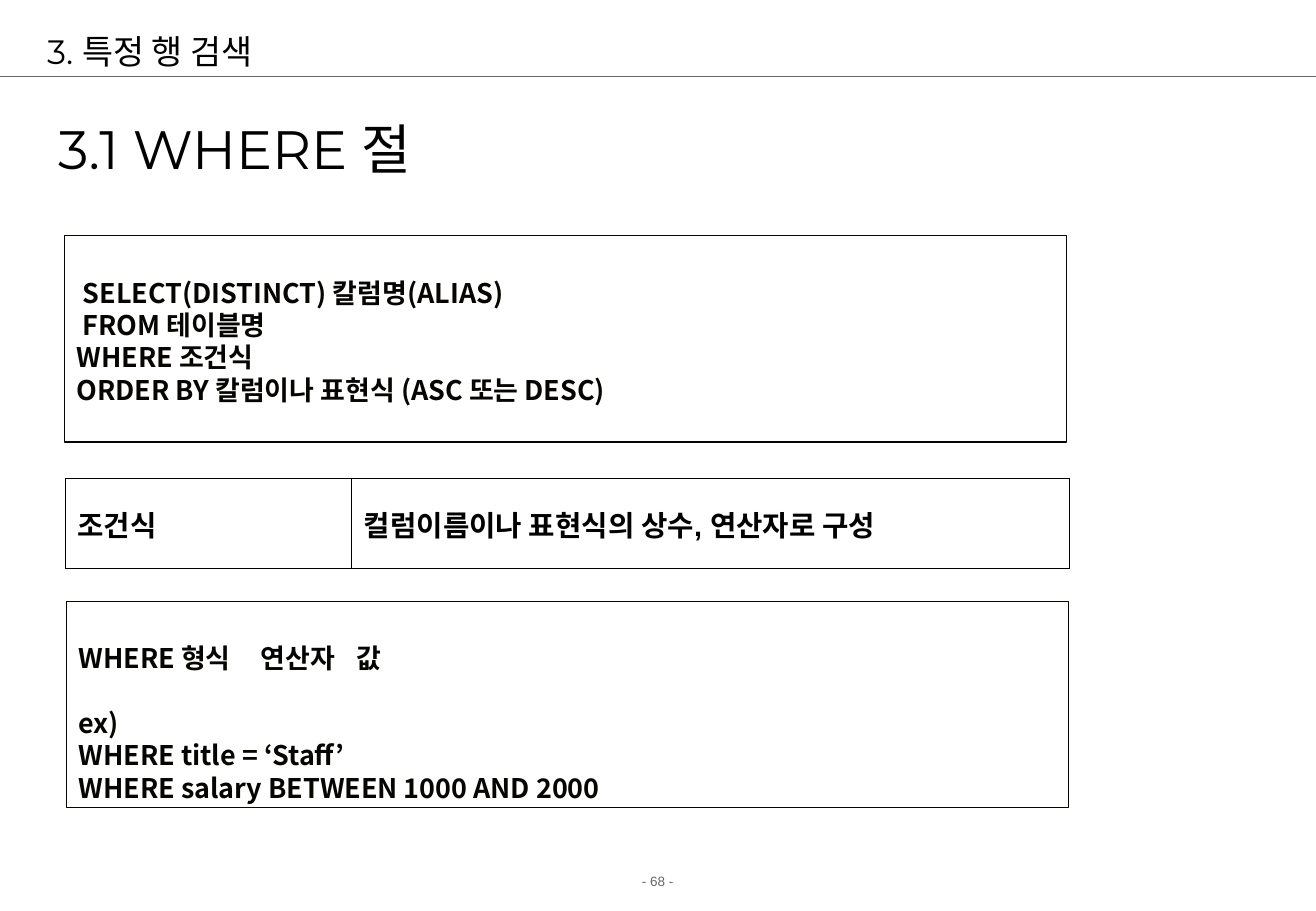
from lxml import etree
from pptx import Presentation
from pptx.dml.color import RGBColor
from pptx.enum.shapes import MSO_CONNECTOR, MSO_SHAPE
from pptx.enum.text import MSO_ANCHOR, PP_ALIGN
from pptx.oxml.ns import qn
from pptx.util import Pt

BLACK = RGBColor(0x00, 0x00, 0x00)
INK = RGBColor(0x07, 0x05, 0x01)
GRAY = RGBColor(0x66, 0x66, 0x66)
KOREAN = "Noto Sans CJK KR"
LINE_PITCH = 19.2
GAP_TABS = (108, 165)

SYNTAX = [
    " SELECT(DISTINCT) 칼럼명(ALIAS)",
    " FROM 테이블명",
    "WHERE 조건식",
    "ORDER BY 칼럼이나 표현식 (ASC 또는 DESC)",
]
EXAMPLE = [
    "WHERE 형식\t연산자\t값",
    "ex)",
    "WHERE title = ‘Staff’",
    "WHERE salary BETWEEN 1000 AND 2000",
]


def format_runs(p, size, font, color, bold=False):
    for r in p.runs:
        r.font.size = Pt(size)
        r.font.name = font
        r.font.bold = bold
        r.font.color.rgb = color
        ea = etree.SubElement(r.font._element, qn("a:ea"))
        ea.set("typeface", KOREAN)


def add_text(slide, box, text, size, font, color, align=PP_ALIGN.LEFT,
             anchor=MSO_ANCHOR.MIDDLE):
    tf = slide.shapes.add_textbox(*map(Pt, box)).text_frame
    tf.word_wrap = True
    tf.vertical_anchor = anchor
    p = tf.paragraphs[0]
    p.text = text
    p.alignment = align
    format_runs(p, size, font, color)


def add_rule(slide, y, width):
    line = slide.shapes.add_connector(
        MSO_CONNECTOR.STRAIGHT, Pt(0), Pt(y), Pt(width), Pt(y))
    line.line.color.rgb = GRAY
    line.line.width = Pt(0.75)
    etree.SubElement(line._element.spPr, qn("a:effectLst"))


def add_tabs(p, stops):
    tabs = etree.SubElement(p._p.get_or_add_pPr(), qn("a:tabLst"))
    for stop in stops:
        etree.SubElement(tabs, qn("a:tab"), pos=str(Pt(stop)), algn="l")


def add_code_box(slide, left, top, lines, spaced=()):
    """Outlined box of code; lines in spaced get an empty line's gap above."""
    sp = slide.shapes.add_shape(
        MSO_SHAPE.RECTANGLE, Pt(left), Pt(top), Pt(594), Pt(122.4))
    sp.shadow.inherit = False
    sp.fill.background()
    sp.line.color.rgb = INK
    sp.line.width = Pt(0.75)
    tf = sp.text_frame
    tf.word_wrap = True
    tf.vertical_anchor = MSO_ANCHOR.TOP
    tf.margin_top = Pt(24)
    for i, text in enumerate(lines):
        p = tf.add_paragraph() if i else tf.paragraphs[0]
        p.text = text
        p.alignment = PP_ALIGN.LEFT
        p.line_spacing = Pt(LINE_PITCH)
        if text in spaced:
            p.space_before = Pt(LINE_PITCH)
        if "\t" in text:
            add_tabs(p, GAP_TABS)
        format_runs(p, 16, KOREAN, INK, bold=True)


def set_borders(cell, width):
    tcPr = cell._tc.get_or_add_tcPr()
    for i, side in enumerate(("lnL", "lnR", "lnT", "lnB")):
        ln = etree.Element(qn(f"a:{side}"), w=str(Pt(width)))
        fill = etree.SubElement(ln, qn("a:solidFill"))
        etree.SubElement(fill, qn("a:srgbClr"), val=str(BLACK))
        tcPr.insert(i, ln)


def add_definition_table(slide, left, top, height, columns):
    """One-row table; columns holds (width, text) pairs."""
    width = sum(w for w, _ in columns)
    table = slide.shapes.add_table(
        1, len(columns), Pt(left), Pt(top), Pt(width), Pt(height)).table
    table.first_row = False
    table.horz_banding = False
    for i, (w, text) in enumerate(columns):
        table.columns[i].width = Pt(w)
        cell = table.cell(0, i)
        cell.fill.background()
        cell.vertical_anchor = MSO_ANCHOR.MIDDLE
        p = cell.text_frame.paragraphs[0]
        p.text = text
        format_runs(p, 17, "Arial", BLACK, bold=True)
        set_borders(cell, 0.34)


def main():
    prs = Presentation()
    prs.slide_width, prs.slide_height = Pt(780.48), Pt(540)
    slide = prs.slides.add_slide(prs.slide_layouts[6])

    add_text(slide, (0, 514, 780, 17.3), "- 68 -", 8, "Arial", GRAY,
             PP_ALIGN.CENTER, MSO_ANCHOR.TOP)
    add_rule(slide, 45.2, 780.48)
    add_text(slide, (20.9, 15.1, 732, 30.2), "3. 특정 행 검색", 20,
             "Montserrat", BLACK)
    add_text(slide, (27.4, 54.7, 612, 66.2), "3.1 WHERE 절", 32,
             "Montserrat", BLACK)
    add_code_box(slide, 38.4, 139.7, SYNTAX)
    add_definition_table(slide, 38.6, 283.7, 53.3, [
        (170, "조건식"),
        (425.5, "컬럼이름이나 표현식의 상수, 연산자로 구성"),
    ])
    add_code_box(slide, 39.6, 356.4, EXAMPLE, spaced=("ex)",))
    prs.save("out.pptx")


if __name__ == "__main__":
    main()
